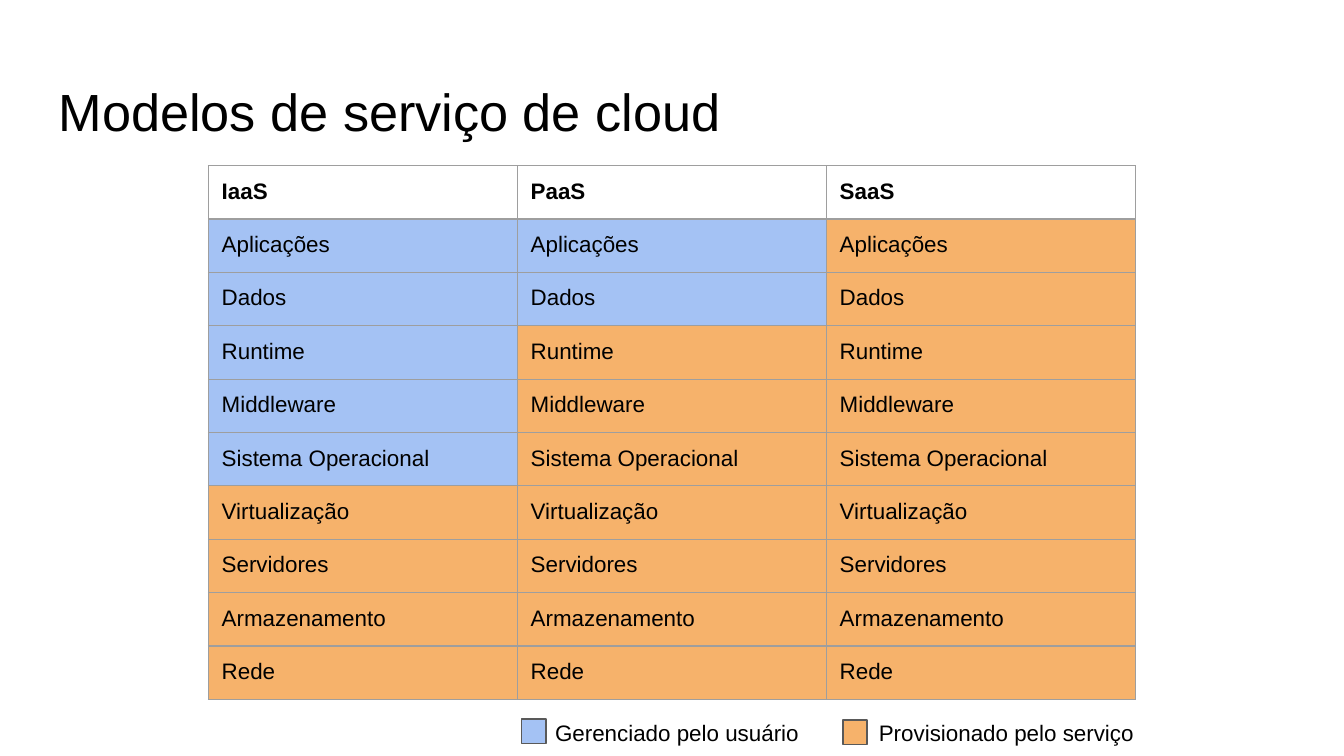
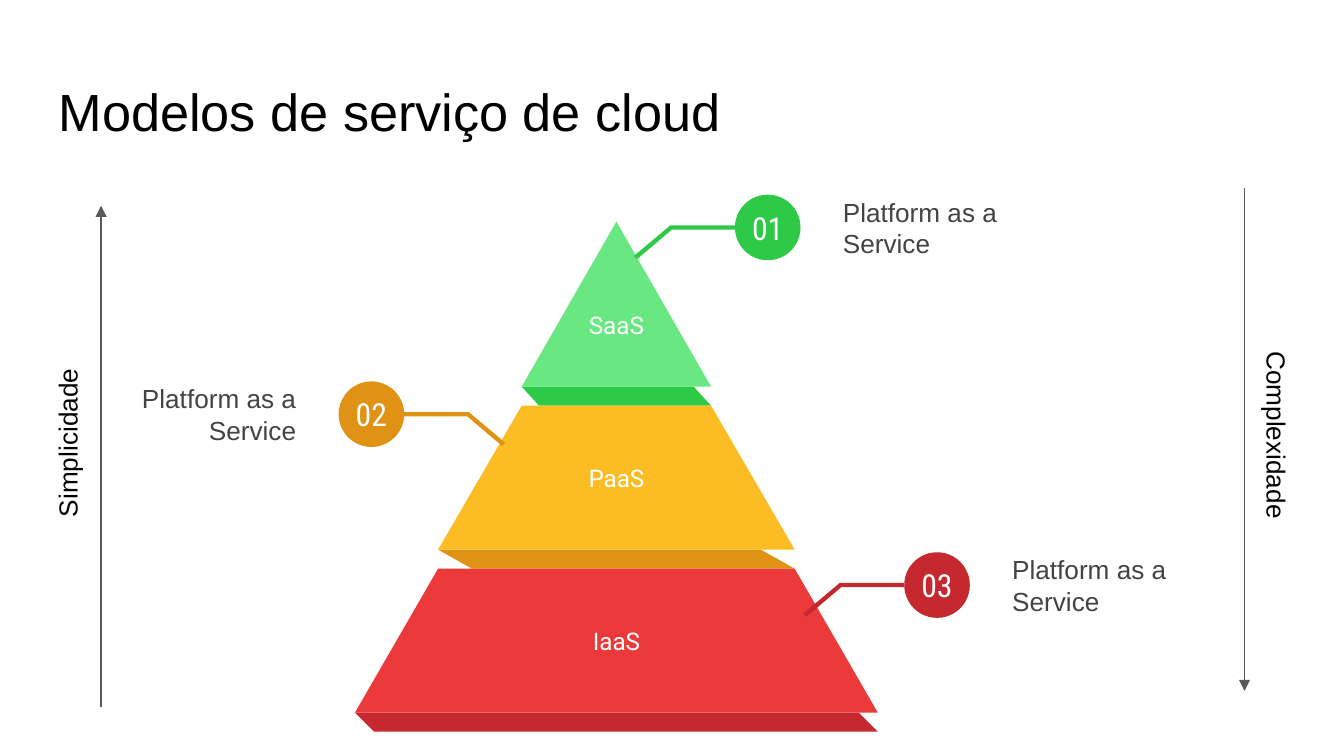
from dataclasses import dataclass

from lxml import etree
from pptx import Presentation
from pptx.dml.color import RGBColor
from pptx.enum.shapes import MSO_CONNECTOR, MSO_SHAPE
from pptx.enum.text import MSO_ANCHOR, PP_ALIGN
from pptx.oxml.ns import qn
from pptx.util import Cm, Pt

RECT, OVAL = MSO_SHAPE.RECTANGLE, MSO_SHAPE.OVAL
STRAIGHT = MSO_CONNECTOR.STRAIGHT
TOP, MIDDLE = MSO_ANCHOR.TOP, MSO_ANCHOR.MIDDLE
LEFT, CENTER, RIGHT = PP_ALIGN.LEFT, PP_ALIGN.CENTER, PP_ALIGN.RIGHT


@dataclass(frozen=True)
class Theme:
    sans: str = "Arial"
    tier_font: str = "Roboto"
    number_font: str = "Roboto Condensed"
    title_size: float = 28
    cell_size: float = 12
    label_size: float = 14
    tier_size: float = 13
    number_size: float = 17
    ink: str = "000000"
    soft_ink: str = "434343"
    white: str = "FFFFFF"
    line: str = "595959"
    border: str = "9E9E9E"
    user: str = "A4C2F4"
    provider: str = "F6B26B"
    line_width: float = 0.75
    inset: float = 0.25


T = Theme()

# Content
TITLE = "Modelos de serviço de cloud"
LAYERS = ["Aplicações", "Dados", "Runtime", "Middleware", "Sistema Operacional",
          "Virtualização", "Servidores", "Armazenamento", "Rede"]
# Model and how many layers, from the top, the user manages
MODELS = [("IaaS", 5), ("PaaS", 2), ("SaaS", 0)]
# Text, colour, swatch left and top, text left and width
LEGEND = [
    ("Provisionado pelo serviço", T.provider, 15.93, 13.61, 16.36, 5.84),
    ("Gerenciado pelo usuário", T.user, 9.86, 13.59, 10.24, 5.18),
]
# Pyramid from the top; side is the direction in which the callout's leader
# runs from its circle to the pyramid
TIERS = [
    dict(name="SaaS", face="69E781", dark="2FC948", height=3.12, half=1.79, lip=0.33,
         inset=(0.25, 1.02), number="01", circle=(13.89, 3.68), side=-1,
         label="Platform as a Service", label_w=3.58),
    dict(name="PaaS", face="FCBD24", dark="E09214", height=2.72, half=3.37, lip=0.64,
         inset=(1.02, 0.25), number="02", circle=(6.4, 7.21), side=1,
         label="Platform as a Service", label_w=4.85),
    dict(name="IaaS", face="EC3A3B", dark="C6282F", height=2.72, half=4.94, lip=0.36,
         inset=(1.52, 0.25), number="03", circle=(17.09, 10.44), side=-1,
         label="Platform as a Service", label_w=3.48),
]
# Text, box left and width, rotation, arrow x, arrow start and end
AXES = [
    ("Complexidade", 22.25, 3.84, 90, 23.52, 3.56, 13.06),
    ("Simplicidade", -0.48, 3.43, 270, 1.91, 13.36, 3.89),
]

# Layout, in centimetres
TABLE_X, TABLE_Y, COL_W, ROW_H = 3.94, 3.13, 5.84, 0.98
SWATCH = 0.46
AXIS_Y, AXIS_H = 7.8, 1.02
APEX_X, APEX_Y, LIP_H = 11.65, 4.19, 0.36
CIRCLE, LABEL_H, LABEL_GAP = 1.24, 1.5, 0.55
LEADER_DROP = 0.58
LEADER = [(0, 0), (1.22, 0), (1.91, 0.58), (1.85, 0.64), (1.19, 0.08), (0, 0.08)]


def rgb(value):
    return RGBColor.from_string(value)


def write(tf, text, size, color=T.ink, font=T.sans, align=LEFT, anchor=TOP,
          inset=(T.inset, T.inset, T.inset, T.inset)):
    tf.word_wrap = True
    tf.vertical_anchor = anchor
    tf.margin_left, tf.margin_top, tf.margin_right, tf.margin_bottom = map(Cm, inset)
    tf.text = text
    style(tf.paragraphs[0], size, color, font, align)


def style(p, size, color, font, align=LEFT, bold=False):
    p.alignment = align
    for r in p.runs:
        r.font.size, r.font.name, r.font.bold = Pt(size), font, bold
        r.font.color.rgb = rgb(color)


def text_box(shapes, x, y, w, h, text, size, **look):
    sp = shapes.add_textbox(Cm(x), Cm(y), Cm(w), Cm(h))
    write(sp.text_frame, text, size, **look)
    return sp


def paint(sp, color, line=None):
    sp.shadow.inherit = False
    sp.fill.solid()
    sp.fill.fore_color.rgb = rgb(color)
    if line:
        sp.line.color.rgb = rgb(line)
        sp.line.width = Pt(T.line_width)
    else:
        sp.line.fill.background()
    return sp


def shape(shapes, kind, x, y, w, h, color, line=None):
    return paint(shapes.add_shape(kind, Cm(x), Cm(y), Cm(w), Cm(h)), color, line)


def polygon(shapes, points, color):
    start, *rest = [(Cm(x), Cm(y)) for x, y in points]
    fb = shapes.build_freeform(*start)
    fb.add_line_segments(rest, close=True)
    return paint(fb.convert_to_shape(), color)


def arrow(s, x, y1, y2):
    cx = s.shapes.add_connector(STRAIGHT, Cm(x), Cm(y1), Cm(x), Cm(y2))
    cx.line.color.rgb = rgb(T.line)
    cx.line.width = Pt(T.line_width)
    etree.SubElement(cx.line._get_or_add_ln(), qn("a:tailEnd"), type="triangle")
    etree.SubElement(cx._element.spPr, qn("a:effectLst"))


def borders(cell):
    tcPr = cell._tc.get_or_add_tcPr()
    for side in ("lnL", "lnR", "lnT", "lnB"):
        ln = etree.SubElement(tcPr, qn(f"a:{side}"), w=str(Pt(T.line_width)))
        fill = etree.SubElement(ln, qn("a:solidFill"))
        etree.SubElement(fill, qn("a:srgbClr"), val=T.border)


def titled_slide(prs):
    s = prs.slides.add_slide(prs.slide_layouts[6])
    text_box(s.shapes, 0.86, 1.24, 23.67, 1.6, TITLE, T.title_size)
    return s


def fill_cell(cell, text, color=None):
    cell.margin_left = cell.margin_right = Cm(T.inset)
    cell.margin_top = cell.margin_bottom = Cm(T.inset)
    cell.text_frame.text = text
    style(cell.text_frame.paragraphs[0], T.cell_size, T.ink, T.sans, bold=color is None)
    borders(cell)
    if color:
        cell.fill.solid()
        cell.fill.fore_color.rgb = rgb(color)
    else:
        cell.fill.background()


def responsibility_slide(prs):
    s = titled_slide(prs)
    rows, cols = len(LAYERS) + 1, len(MODELS)
    table = s.shapes.add_table(rows, cols, Cm(TABLE_X), Cm(TABLE_Y),
                               Cm(COL_W * cols), Cm(ROW_H * rows)).table
    for row in table.rows:
        row.height = Cm(ROW_H)
    for c, (model, managed) in enumerate(MODELS):
        table.columns[c].width = Cm(COL_W)
        fill_cell(table.cell(0, c), model)
        for i, layer in enumerate(LAYERS):
            fill_cell(table.cell(i + 1, c), layer, T.user if i < managed else T.provider)
    # Legend
    for text, color, x, y, text_x, text_w in LEGEND:
        shape(s.shapes, RECT, x, y, SWATCH, SWATCH, color, T.line)
        text_box(s.shapes, text_x, 13.34, text_w, 0.89, text, T.cell_size)


def callout(shapes, tier):
    x, y = tier["circle"]
    side = tier["side"]
    edge = x if side < 0 else x + CIRCLE
    polygon(shapes, [(edge + side * dx, y + LEADER_DROP + dy) for dx, dy in LEADER],
            tier["dark"])
    sp = shape(shapes, OVAL, x, y, CIRCLE, CIRCLE, tier["dark"])
    write(sp.text_frame, tier["number"], T.number_size, T.white, T.number_font,
          CENTER, MIDDLE, (0, T.inset, 0, T.inset))
    w = tier["label_w"]
    label_x = x + CIRCLE + LABEL_GAP if side < 0 else x - LABEL_GAP - w
    text_box(shapes, label_x, y - (LABEL_H - CIRCLE) / 2, w, LABEL_H, tier["label"],
             T.label_size, color=T.soft_ink, anchor=MIDDLE,
             align=LEFT if side < 0 else RIGHT)


def pyramid_slide(prs):
    s = titled_slide(prs)
    y, top_half = APEX_Y, 0
    for tier in TIERS:
        shapes = s.shapes.add_group_shape().shapes
        half, lip, base = tier["half"], tier["lip"], y + tier["height"]
        left, right = APEX_X - half, APEX_X + half
        # Lip below the face
        polygon(shapes, [(left, base), (left + lip, base + LIP_H),
                         (right, base + LIP_H), (right - lip, base)], tier["dark"])
        # Face, a triangle at the apex
        top = [(APEX_X - top_half, y), (APEX_X + top_half, y)] if top_half else [(APEX_X, y)]
        face = polygon(shapes, top + [(right, base), (left, base)], tier["face"])
        side_inset, top_inset = tier["inset"]
        write(face.text_frame, tier["name"], T.tier_size, T.white, T.tier_font, CENTER,
              MIDDLE, (side_inset, top_inset, side_inset, T.inset))
        callout(shapes, tier)
        y, top_half = base + LIP_H, half
    # Side axes
    for text, x, w, angle, arrow_x, start, end in AXES:
        arrow(s, arrow_x, start, end)
        sp = text_box(s.shapes, x, AXIS_Y, w, AXIS_H, text, T.label_size)
        sp.rotation = angle


def main():
    prs = Presentation()
    prs.slide_width, prs.slide_height = Cm(25.4), Cm(14.29)
    responsibility_slide(prs)
    pyramid_slide(prs)
    prs.save("out.pptx")


if __name__ == "__main__":
    main()
